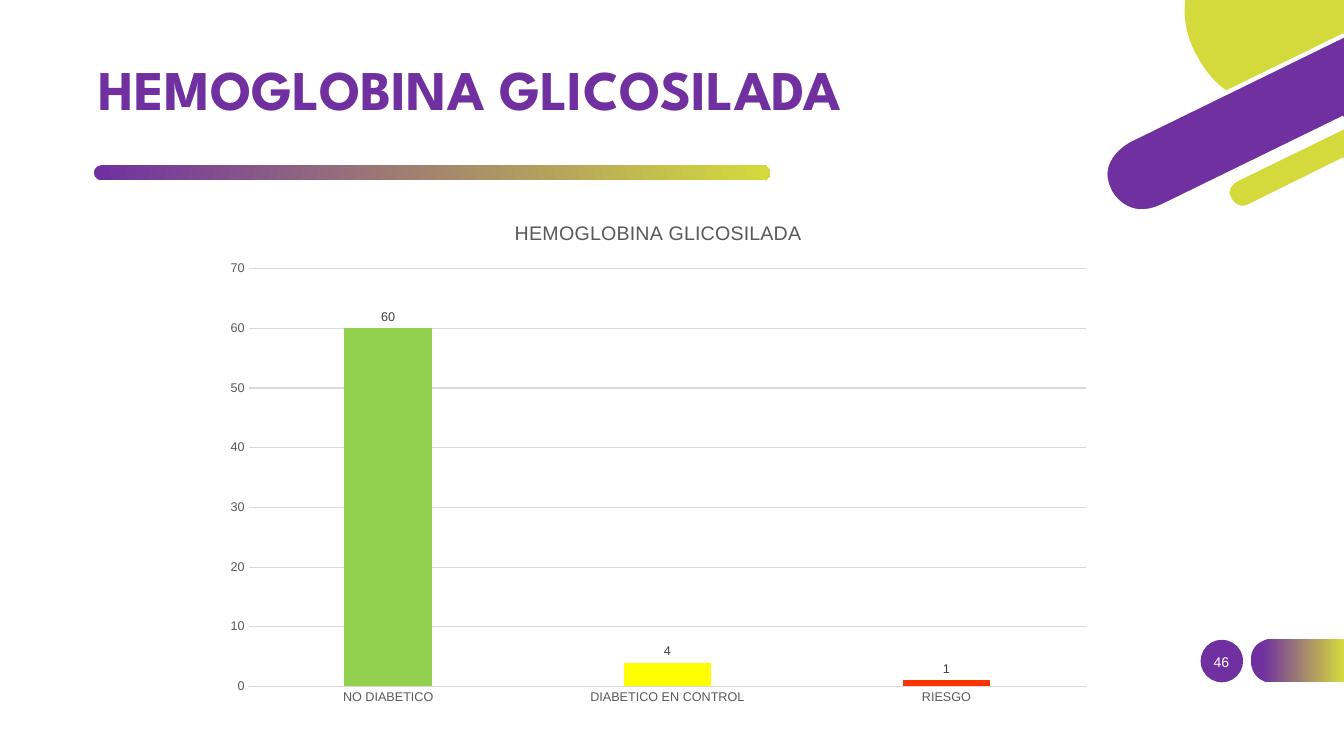
from pptx import Presentation
from pptx.chart.data import CategoryChartData
from pptx.dml.color import RGBColor
from pptx.enum.chart import XL_CHART_TYPE, XL_LABEL_POSITION, XL_TICK_MARK
from pptx.enum.shapes import MSO_SHAPE
from pptx.enum.text import MSO_ANCHOR, PP_ALIGN
from pptx.util import Pt

COLUMN = XL_CHART_TYPE.COLUMN_CLUSTERED
OUTSIDE = XL_LABEL_POSITION.OUTSIDE_END
NO_TICK = XL_TICK_MARK.NONE
ROUNDED, OVAL = MSO_SHAPE.ROUNDED_RECTANGLE, MSO_SHAPE.OVAL
MIDDLE = MSO_ANCHOR.MIDDLE
LEFT, CENTER = PP_ALIGN.LEFT, PP_ALIGN.CENTER

hexes = {"purple": "7030A0", "lime": "D5DA3C", "white": "FFFFFF",
         "green": "92D050", "yellow": "FFFF00", "red": "FF3300",
         "grid": "D9D9D9", "axis": "595959", "label": "404040"}
COLORS = {name: RGBColor.from_string(value) for name, value in hexes.items()}


def write_text(tf, text, font="Arial", size=10, color="white", bold=False,
               align=CENTER, spacing=1.0):
    tf.text = text
    p = tf.paragraphs[0]
    p.alignment = align
    p.line_spacing = spacing
    r = p.runs[0]
    r.font.name = font
    r.font.size = Pt(size)
    r.font.bold = bold
    r.font.color.rgb = COLORS[color]


def add_outline(shapes, steps, close=True):
    points = [steps[0]]
    for step in steps[1:]:
        if len(step) == 2:
            points.append(step)
            continue
        ends = [points[-1], step[:2], step[2:4], step[4:]]
        for i in range(1, 17):
            t = i / 16
            weights = ((1 - t) ** 3, 3 * t * (1 - t) ** 2, 3 * t * t * (1 - t), t ** 3)
            points.append(tuple(sum(w * e[k] for w, e in zip(weights, ends))
                                for k in (0, 1)))
    scaled = [(x * 100, y * 100) for x, y in points]
    builder = shapes.build_freeform(*scaled[0], scale=Pt(1) / 100)
    builder.add_line_segments(scaled[1:], close=close)
    sp = builder.convert_to_shape()
    sp.shadow.inherit = False
    sp.line.fill.background()
    return sp


prs = Presentation()
prs.slide_width, prs.slide_height = Pt(960), Pt(540)
s = prs.slides.add_slide(prs.slide_layouts[5])
shapes = s.shapes

pill = add_outline(shapes, [
    (960, 456.5), (908.6, 456.5), (908.6, 456.5, 893.5, 456.5, 893.5, 471.6),
    (893.5, 472.3), (893.5, 472.3, 893.5, 487.4, 908.6, 487.4), (960, 487.4)])

blob = [(960, 0), (846.7, 0), (845.3, 10.8, 846.7, 23.8, 854, 38.2),
        (855.4, 40.3), (855.4, 40.3, 861.8, 54.7, 876.2, 64.8), (960, 24.5)]
wide_band = [(960, 25.2), (807, 100), (807, 100, 781, 113, 792.5, 136),
             (793, 137), (793, 137, 804.5, 160, 831, 147), (960, 84)]
thin_band = [(960, 90.7), (883.5, 128), (883.5, 128, 873.5, 133, 878, 142),
             (878.5, 142.5), (878.5, 142.5, 883, 152, 893, 147), (960, 113.8)]
for steps, color in ((blob, "lime"), (wide_band, "purple"), (thin_band, "lime")):
    sp = add_outline(shapes, steps)
    sp.fill.solid()
    sp.fill.fore_color.rgb = COLORS[color]
for steps in (wide_band, thin_band):
    sp = add_outline(shapes, steps, close=False)
    sp.fill.background()
    sp.line.color.rgb = COLORS["white"]
    sp.line.width = Pt(3)

bar = shapes.add_shape(ROUNDED, Pt(67), Pt(118), Pt(483), Pt(10.8))
bar.adjustments[0] = 0.5
bar.shadow.inherit = False
bar.line.fill.background()
for sp, start in ((pill, 0.12), (bar, 0)):
    sp.fill.gradient()
    sp.fill.gradient_angle = 0
    for stop, position, color in zip(sp.fill.gradient_stops, (start, 1), ("purple", "lime")):
        stop.position = position
        stop.color.rgb = COLORS[color]

badge = shapes.add_shape(OVAL, Pt(857.6), Pt(457), Pt(30.4), Pt(30.4))
badge.shadow.inherit = False
badge.fill.solid()
badge.fill.fore_color.rgb = COLORS["purple"]
badge.line.fill.background()

number = shapes.add_textbox(Pt(851), Pt(458), Pt(43), Pt(29))
number.text_frame.word_wrap = True
number.text_frame.vertical_anchor = MIDDLE
write_text(number.text_frame, "46")

title = shapes.title
title.left, title.top, title.width, title.height = Pt(63.2), Pt(29), Pt(713), Pt(74)
title.text_frame.vertical_anchor = MIDDLE
write_text(title.text_frame, "HEMOGLOBINA GLICOSILADA", font="League Spartan",
           size=40, color="purple", bold=True, align=LEFT, spacing=0.9)

data = CategoryChartData()
data.categories = ["NO DIABETICO", "DIABETICO EN CONTROL", "RIESGO"]
data.add_series("Series 1", (60, 4, 1))
chart = shapes.add_chart(COLUMN, Pt(152), Pt(144), Pt(636.5), Pt(367), data).chart
chart.font.name = "Arial"
chart.font.size = Pt(10)
chart.has_legend = False
chart.has_title = True
chart.chart_title.include_in_layout = False
write_text(chart.chart_title.text_frame, "HEMOGLOBINA GLICOSILADA", size=14, color="axis")

for axis in (chart.category_axis, chart.value_axis):
    axis.major_tick_mark = axis.minor_tick_mark = NO_TICK
    font = axis.tick_labels.font
    font.name = "Arial"
    font.size = Pt(9)
    font.color.rgb = COLORS["axis"]
values = chart.value_axis
values.minimum_scale, values.maximum_scale, values.major_unit = 0, 70, 10
values.format.line.fill.background()
for line in (chart.category_axis.format.line, values.major_gridlines.format.line):
    line.color.rgb = COLORS["grid"]
    line.width = Pt(0.75)

plot = chart.plots[0]
plot.gap_width, plot.overlap = 219, -27
plot.vary_by_categories = False
series = plot.series[0]
series.format.fill.solid()
series.format.fill.fore_color.rgb = COLORS["red"]
for i, color in enumerate(("green", "yellow")):
    fill = series.points[i].format.fill
    fill.solid()
    fill.fore_color.rgb = COLORS[color]
labels = series.data_labels
labels.show_value = True
labels.position = OUTSIDE
labels.font.name = "Arial"
labels.font.size = Pt(9)
labels.font.color.rgb = COLORS["label"]

prs.save("out.pptx")
